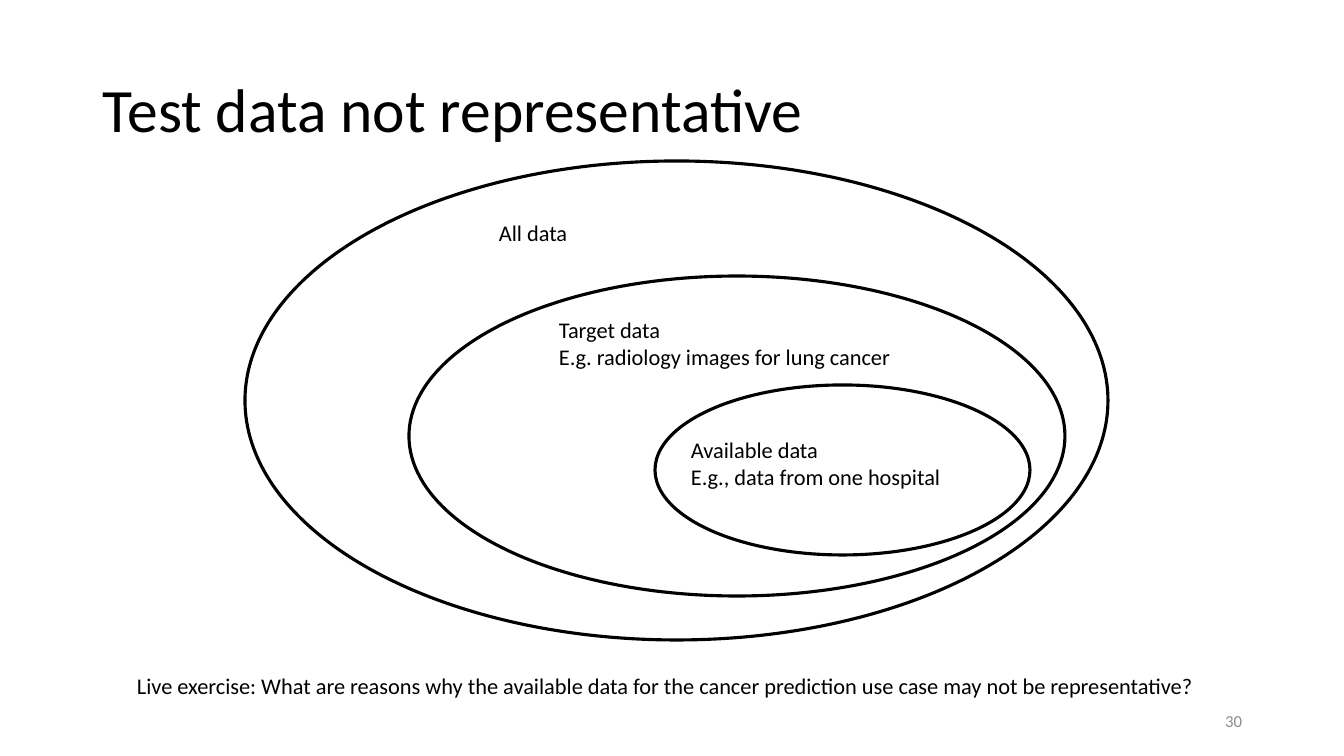
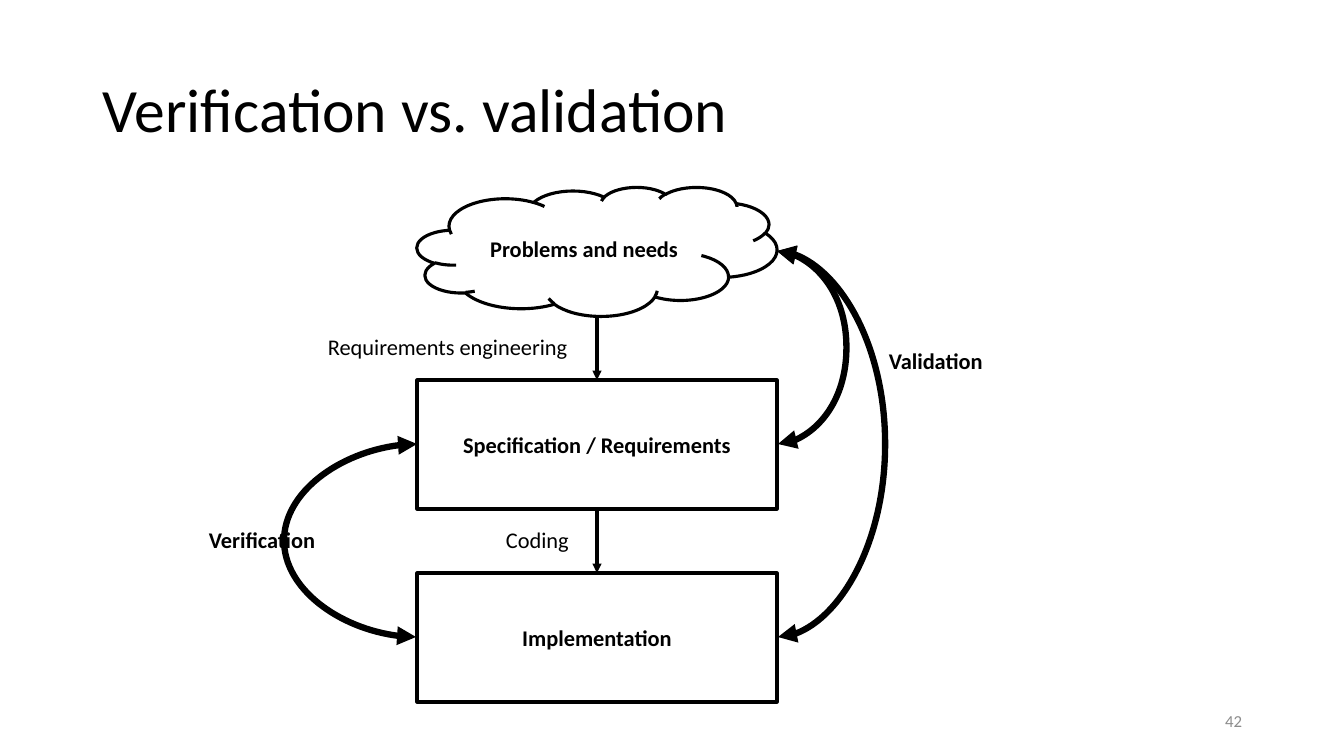
from pptx import Presentation
from pptx.dml.color import RGBColor
from pptx.enum.shapes import MSO_CONNECTOR, MSO_SHAPE
from pptx.enum.text import MSO_ANCHOR, PP_ALIGN
from pptx.oxml.ns import qn
from pptx.util import Emu, Pt
from lxml import etree

PX = 914400 / 100.8
SLIDE_WIDTH, SLIDE_HEIGHT = 1344, 756

BLACK = RGBColor(0x00, 0x00, 0x00)
GRAY = RGBColor(0x8C, 0x8C, 0x8C)
FONT = "Calibri"
LINE_WIDTH = 2.25
LOOP_WIDTH = 4.5

ELLIPSE, CLOUD, RECTANGLE = MSO_SHAPE.OVAL, MSO_SHAPE.CLOUD, MSO_SHAPE.RECTANGLE
STRAIGHT, CURVE = MSO_CONNECTOR.STRAIGHT, MSO_CONNECTOR.CURVE
TOP, MIDDLE = MSO_ANCHOR.TOP, MSO_ANCHOR.MIDDLE
LEFT, CENTER, RIGHT = PP_ALIGN.LEFT, PP_ALIGN.CENTER, PP_ALIGN.RIGHT


def px(*lengths):
    return [Emu(round(length * PX)) for length in lengths]


def write_text(shape, text, size=16, color=BLACK, bold=False, align=LEFT,
               anchor=TOP, wrap=True, line_spacing=None):
    frame = shape.text_frame
    frame.word_wrap = wrap
    frame.vertical_anchor = anchor
    frame.text = text
    for paragraph in frame.paragraphs:
        paragraph.alignment = align
        paragraph.line_spacing = line_spacing
        font = paragraph.font
        font.name, font.size, font.bold = FONT, Pt(size), bold
        font.color.rgb = color


def add_text(slide, box, text, **text_format):
    write_text(slide.shapes.add_textbox(*px(*box)), text, **text_format)


def add_label(slide, left, top, width, text, bold=False):
    height = 37 + 27 * text.count("\n")
    add_text(slide, (left, top, width, height), text, bold=bold, wrap=False)


def add_outline(slide, kind, box, text=None):
    shape = slide.shapes.add_shape(kind, *px(*box))
    shape.shadow.inherit = False
    shape.fill.background()
    shape.line.color.rgb = BLACK
    shape.line.width = Pt(LINE_WIDTH)
    if text:
        write_text(shape, text, bold=True, align=CENTER, anchor=MIDDLE)


def add_arrow(slide, kind, start, end, width, heads):
    """heads names the arrowhead elements: headEnd at start, tailEnd at end."""
    connector = slide.shapes.add_connector(kind, *px(*start, *end))
    connector.line.color.rgb = BLACK
    connector.line.width = Pt(width)
    properties = connector._element.spPr
    for head in heads:
        etree.SubElement(properties.find(qn("a:ln")), qn(head), type="triangle")
    etree.SubElement(properties, qn("a:effectLst"))
    return connector


def add_loop(slide, x, top, bottom, bulge):
    """Draw a two-headed curve that swings out by bulge (negative: to the left)."""
    step = 1 if bulge > 0 else -1
    connector = add_arrow(slide, CURVE, (x, top), (x + step, bottom), LOOP_WIDTH,
                          ("a:headEnd", "a:tailEnd"))
    geometry = connector._element.spPr.find(qn("a:prstGeom"))
    guides = geometry.find(qn("a:avLst"))
    if guides is None:
        guides = etree.SubElement(geometry, qn("a:avLst"))
    # The guide is a share of the connector's width, which is one px.
    etree.SubElement(guides, qn("a:gd"), name="adj1",
                     fmla=f"val {abs(bulge) * 100000}")


def add_slide(presentation, title, number):
    slide = presentation.slides.add_slide(presentation.slide_layouts[6])
    add_text(slide, (93, 40, 1159, 146), title, size=44, anchor=MIDDLE,
             line_spacing=0.9)
    add_text(slide, (950, 701, 302, 40), str(number), size=12, color=GRAY,
             align=RIGHT, anchor=MIDDLE)
    return slide


def build_data_slide(presentation):
    slide = add_slide(presentation, "Test data not representative", 30)
    for box in ((245, 161, 863, 479), (409, 276, 656, 320), (655, 385, 375, 170)):
        add_outline(slide, ELLIPSE, box)
    add_label(slide, 489, 214, 90, "All data")
    add_label(slide, 549, 311, 356,
              "Target data\nE.g. radiology images for lung cancer")
    add_label(slide, 681, 431, 273, "Available data\nE.g., data from one hospital")
    add_text(slide, (127, 667, 1146, 37),
             "Live exercise: What are reasons why the available data for the "
             "cancer prediction use case may not be representative?")


def build_verification_slide(presentation):
    slide = add_slide(presentation, "Verification vs. validation", 42)
    left, width, height = 417, 360, 129
    right, center = left + width, left + width // 2
    tops = [187 + 193 * row for row in range(3)]
    needs, specification, implementation = [top + height // 2 for top in tops]

    stages = ((CLOUD, "Problems and needs"),
              (RECTANGLE, "Specification / Requirements"),
              (RECTANGLE, "Implementation"))
    for top, (kind, text) in zip(tops, stages):
        add_outline(slide, kind, (left, top, width, height), text)
    for top, next_top in zip(tops, tops[1:]):
        add_arrow(slide, STRAIGHT, (center, top + height), (center, next_top),
                  LINE_WIDTH, ("a:tailEnd",))

    add_loop(slide, left, specification, implementation, -134)
    add_loop(slide, right, needs, specification, 70)
    add_loop(slide, right, needs, implementation, 109)

    add_label(slide, 318, 328, 263, "Requirements engineering")
    add_label(slide, 496, 521, 84, "Coding")
    add_label(slide, 879, 342, 115, "Validation", bold=True)
    add_label(slide, 199, 521, 128, "Verification", bold=True)


def main():
    presentation = Presentation()
    presentation.slide_width, presentation.slide_height = px(SLIDE_WIDTH, SLIDE_HEIGHT)
    build_data_slide(presentation)
    build_verification_slide(presentation)
    presentation.save("out.pptx")


if __name__ == "__main__":
    main()
